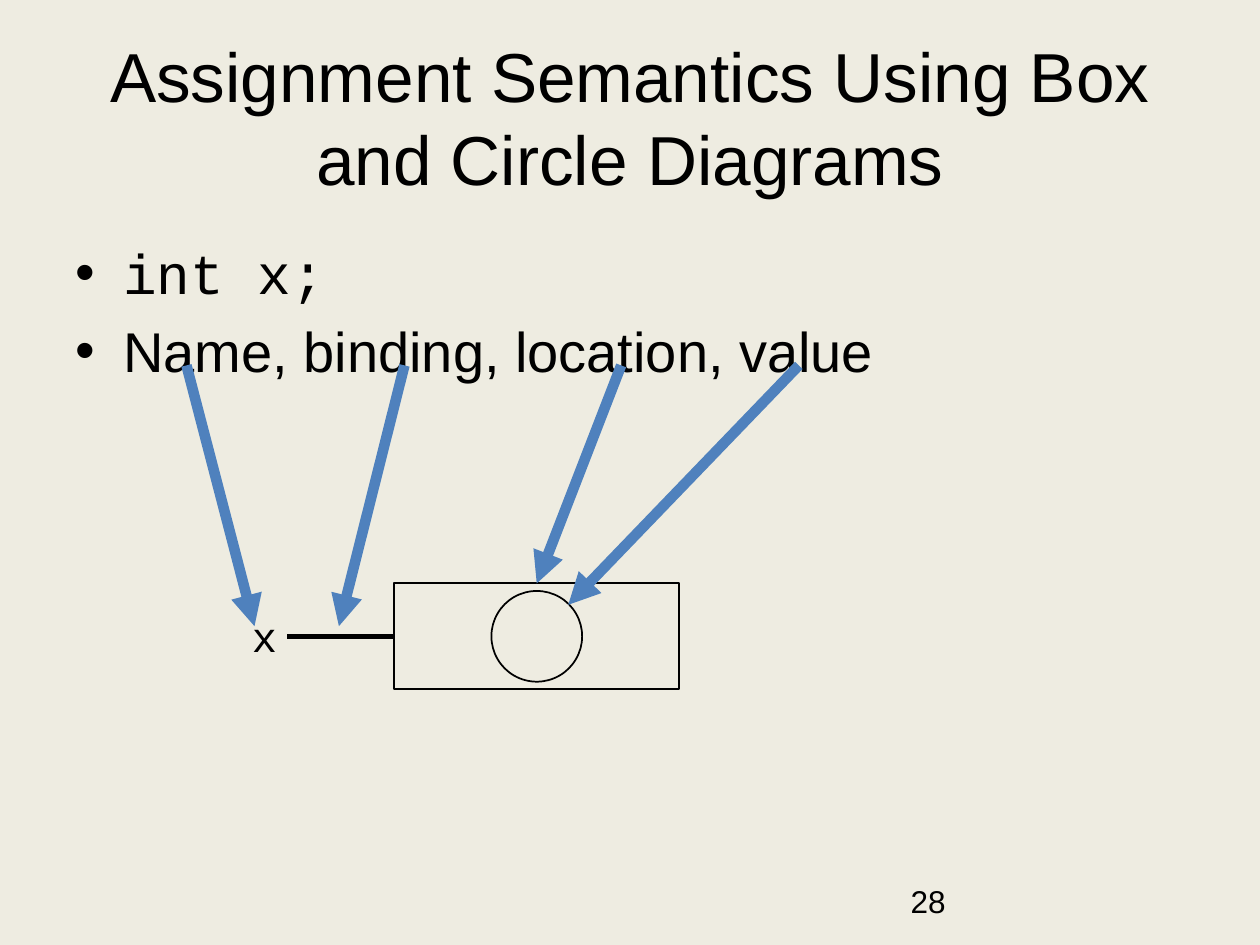
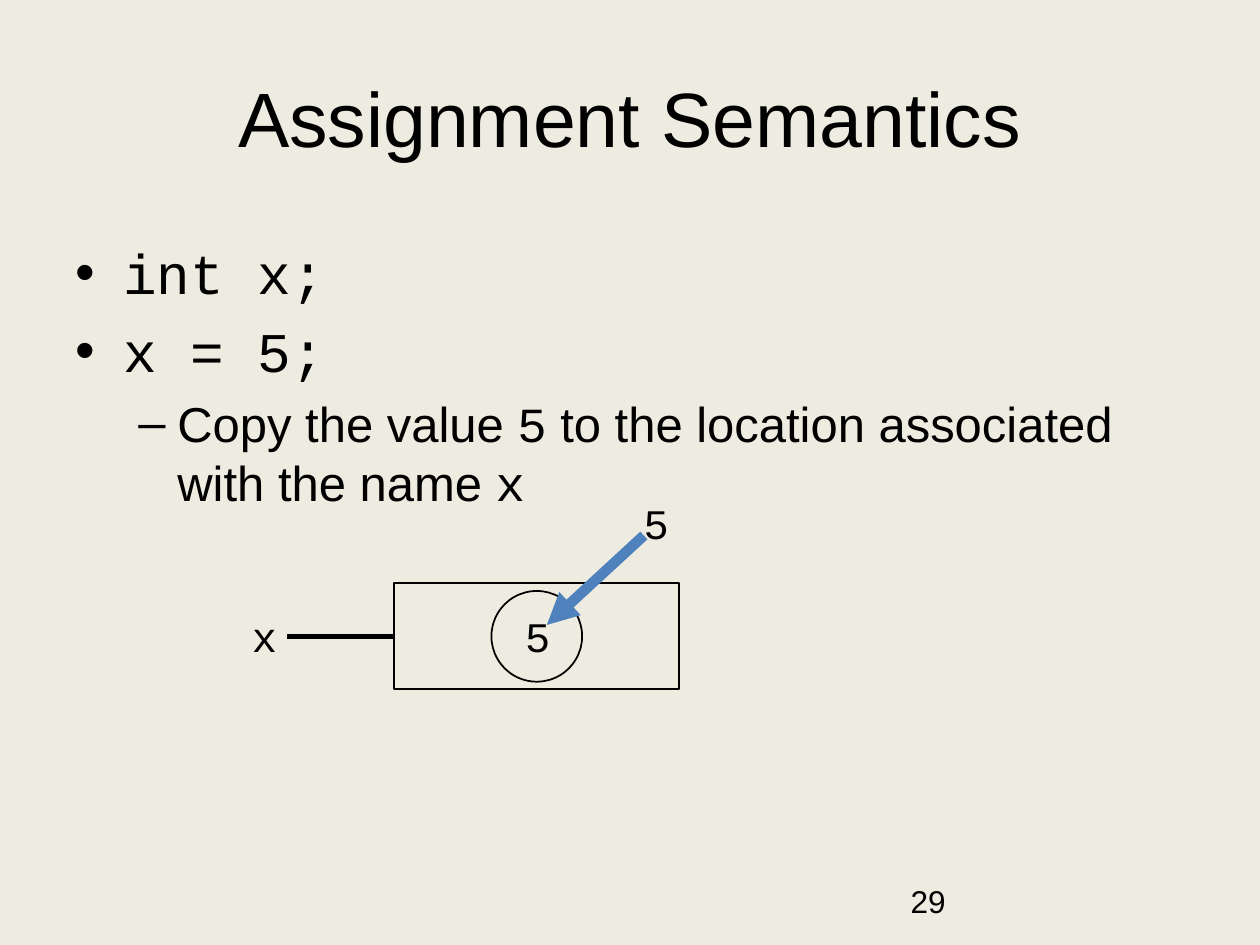
import pptx
import pptx.util
import pptx.dml.color
import pptx.enum.shapes
import pptx.enum.text
import pptx.oxml
import pptx.oxml.ns

Inches, Pt = pptx.util.Inches, pptx.util.Pt
RGB = pptx.dml.color.RGBColor.from_string
Shape = pptx.enum.shapes.MSO_SHAPE
Anchor = pptx.enum.text.MSO_ANCHOR
Align = pptx.enum.text.PP_ALIGN
NS = pptx.oxml.ns.nsdecls("a")

COLORS = {"paper": "EEECE1", "ink": "000000", "arrow": "4F81BD"}
SANS, MONO = "Arial", "Courier New"
# Per level: bullet, left margin, hanging indent, text size, space before
LEVELS = [("•", 0.38, 0.38, 32, 6.4), ("–", 0.81, 0.31, 28, 5.6)]
MID = 5.05  # height of the line from name to box

slides = [
    {"title": "Assignment Semantics Using Box and Circle Diagrams",
     "size": 39.6,
     "page": "28",
     "body": [(0, [("int x;", MONO)]),
              (0, [("Name, binding, location, value", SANS)])],
     "values": [],
     "arrows": [(1.48, 2.9, 2.02, 4.97), (3.21, 2.9, 2.69, 4.97),
                (4.93, 2.9, 4.26, 4.63), (6.34, 2.9, 4.51, 4.8)]},
    {"title": "Assignment Semantics",
     "size": 44,
     "page": "29",
     "body": [(0, [("int x;", MONO)]),
              (0, [("x = 5;", MONO)]),
              (1, [("Copy the value ", SANS), ("5", MONO),
                   (" to the location associated with the name ", SANS),
                   ("x", MONO)])],
     "values": [(4.07, 4.8), (5.01, 3.9)],
     "arrows": [(5.11, 4.25, 4.34, 4.96)]},
]


def write(slide, spot, text, size, font=SANS, align=Align.LEFT):
    box = slide.shapes.add_textbox(*map(Inches, spot))
    frame = box.text_frame
    frame.word_wrap = True
    frame.text = text
    para = frame.paragraphs[0]
    para.alignment = align
    para.font.size = Pt(size)
    para.font.name = font
    para.font.color.rgb = RGB(COLORS["ink"])
    return frame


def link(slide, ends, color, width):
    line = slide.shapes.add_connector(
        pptx.enum.shapes.MSO_CONNECTOR.STRAIGHT, *map(Inches, ends))
    line.line.color.rgb = RGB(COLORS[color])
    line.line.width = Pt(width)
    props = line._element.spPr
    props.append(pptx.oxml.parse_xml(f"<a:effectLst {NS}/>"))
    return line


deck = pptx.Presentation()
deck.slide_width, deck.slide_height = Inches(10), Inches(7.5)
paper = deck.slide_master.background.fill
paper.solid()
paper.fore_color.rgb = RGB(COLORS["paper"])

for data in slides:
    slide = deck.slides.add_slide(deck.slide_layouts[6])

    title = write(slide, (0.5, 0.3, 9, 1.25), data["title"], data["size"],
                  align=Align.CENTER)
    title.vertical_anchor = Anchor.MIDDLE
    write(slide, (7.13, 6.95, 2.33, 0.4), data["page"], 18)

    body = slide.shapes.add_textbox(*map(Inches, (0.5, 1.75, 9, 4.95))).text_frame
    body.word_wrap = True
    body.margin_top = Inches(0.14)
    for row, (level, parts) in enumerate(data["body"]):
        para = body.add_paragraph() if row else body.paragraphs[0]
        mark, left, hang, size, gap = LEVELS[level]
        para.level = level
        if row:
            para.space_before = Pt(gap)
        props = para._p.get_or_add_pPr()
        props.set("marL", str(Inches(left)))
        props.set("indent", str(-Inches(hang)))
        props.append(pptx.oxml.parse_xml(f'<a:buFont {NS} typeface="{SANS}"/>'))
        props.append(pptx.oxml.parse_xml(f'<a:buChar {NS} char="{mark}"/>'))
        for text, font in parts:
            run = para.add_run()
            run.text = text
            run.font.name = font
            run.font.size = Pt(size)
            run.font.color.rgb = RGB(COLORS["ink"])

    # Box and circle
    for kind, spot in [(Shape.RECTANGLE, (3.13, 4.63, 2.26, 0.84)),
                       (Shape.OVAL, (3.9, 4.69, 0.72, 0.72))]:
        shape = slide.shapes.add_shape(kind, *map(Inches, spot))
        shape.shadow.inherit = False
        shape.fill.background()
        shape.line.color.rgb = RGB(COLORS["ink"])
        shape.line.width = Pt(1)
    link(slide, (2.28, MID, 3.13, MID), "ink", 3)

    labels = [("x", (1.9, 4.8))] + [("5", spot) for spot in data["values"]]
    for text, spot in labels:
        label = write(slide, (*spot, 0.38, 0.5), text, 24, MONO, Align.CENTER)
        label.word_wrap = False

    for ends in data["arrows"]:
        arrow = link(slide, ends, "arrow", 6)
        arrow.line._get_or_add_ln().append(
            pptx.oxml.parse_xml(f'<a:tailEnd {NS} type="triangle"/>'))

deck.save("out.pptx")
